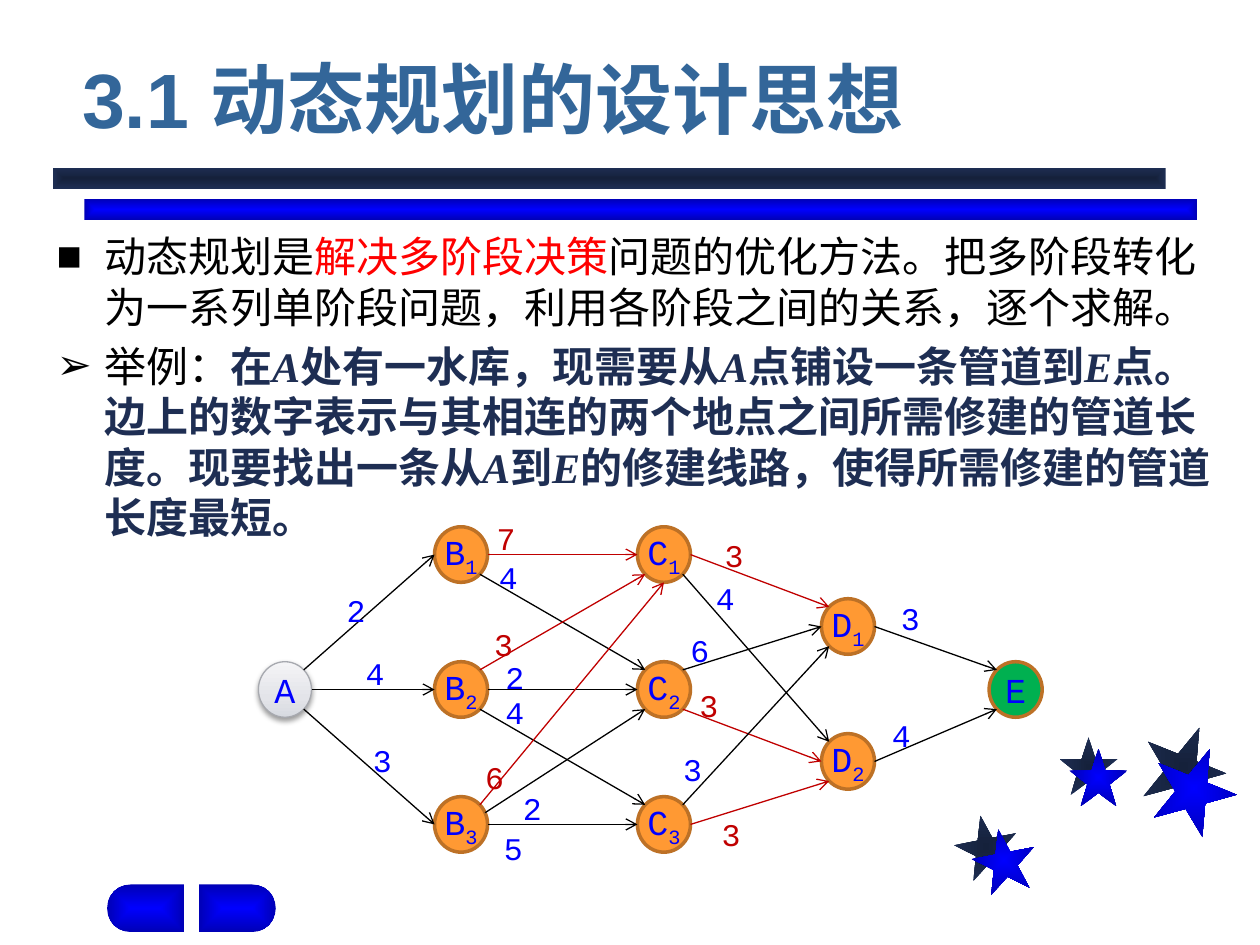
import math

import pptx
import pptx.dml.color
import pptx.enum.shapes
import pptx.enum.text
import pptx.oxml
import pptx.oxml.ns
import pptx.util
from lxml import etree

Cm, Pt = pptx.util.Cm, pptx.util.Pt
RGBColor = pptx.dml.color.RGBColor
qn = pptx.oxml.ns.qn
MSO_SHAPE = pptx.enum.shapes.MSO_SHAPE
ALIGN = pptx.enum.text.PP_ALIGN
ANCHOR = pptx.enum.text.MSO_ANCHOR

BLACK = RGBColor(0x00, 0x00, 0x00)
RED = RGBColor(0xFF, 0x00, 0x00)
CRIMSON = RGBColor(0xC0, 0x00, 0x00)
BLUE = RGBColor(0x00, 0x00, 0xFF)
DEEP_BLUE = RGBColor(0x00, 0x00, 0xB6)
NAVY = RGBColor(0x1E, 0x2E, 0x53)
DARK_NAVY = RGBColor(0x15, 0x21, 0x3B)
TITLE_BLUE = RGBColor(0x33, 0x66, 0x99)
ORANGE = RGBColor(0xFF, 0x99, 0x33)
BROWN = RGBColor(0xBD, 0x71, 0x26)
GREEN = RGBColor(0x00, 0xB0, 0x50)
GREY = RGBColor(0xA7, 0xA9, 0xAF)
SILVER = [(0, RGBColor(0xD7, 0xDA, 0xE0)), (35, RGBColor(0xE3, 0xE4, 0xE9)),
          (100, RGBColor(0xF4, 0xF4, 0xF6))]
NAVY_SHADE = [(0, DARK_NAVY), (100, NAVY)]
BLUE_SHADE = [(0, BLUE), (100, DEEP_BLUE)]
CJK = "Noto Sans CJK SC"


def write(para, text, size=18, font="Courier New", color=BLUE, bold=False, italic=False, base=None):
    span = para.add_run()
    span.text = text
    span.font.size = Pt(size)
    span.font.name = font
    span.font.bold = bold
    span.font.italic = italic
    span.font.color.rgb = color
    properties = span.font._element
    etree.SubElement(properties, qn("a:ea")).set("typeface", CJK)
    if base:
        properties.set("baseline", str(base * 1000))


def shade(shape, stops, path="shape"):
    """Gradient from the centre outwards, or upwards when path is None."""
    shape.shadow.inherit = False
    shape.line.fill.background()
    shape.fill.gradient()
    gradient = shape._element.spPr.find(qn("a:gradFill"))
    for child in list(gradient):
        gradient.remove(child)
    stop_list = etree.SubElement(gradient, qn("a:gsLst"))
    for position, color in stops:
        stop = etree.SubElement(stop_list, qn("a:gs"), pos=str(position * 1000))
        etree.SubElement(stop, qn("a:srgbClr"), val=str(color))
    if path:
        course = etree.SubElement(gradient, qn("a:path"), path=path)
        etree.SubElement(course, qn("a:fillToRect"), l="50000", t="50000", r="50000", b="50000")
    else:
        etree.SubElement(gradient, qn("a:lin"), ang=str(270 * 60000), scaled="0")


deck = pptx.Presentation()
deck.slide_width, deck.slide_height = Cm(25.4), Cm(19.05)
page = deck.slides.add_slide(deck.slide_layouts[5])

# Corner stars
stars = page.shapes.add_group_shape()
for left, top, size, turn, stops in [
        (19.25, 16.43, 1.27, 349, NAVY_SHADE), (21.36, 14.86, 1.17, 0, NAVY_SHADE),
        (23.01, 14.61, 1.7, 22, NAVY_SHADE), (19.61, 16.71, 1.27, 349, BLUE_SHADE),
        (21.56, 15.09, 1.17, 0, BLUE_SHADE), (23.22, 15.04, 1.7, 22, BLUE_SHADE)]:
    star = stars.shapes.add_shape(MSO_SHAPE.STAR_5_POINT, Cm(left), Cm(top), Cm(size), Cm(size))
    star.rotation = turn
    shade(star, stops)

# Double rule under the title
rules = page.shapes.add_group_shape()
for left, top, stops in [(1.7, 4.01, BLUE_SHADE), (1.07, 3.38, NAVY_SHADE)]:
    shade(rules.shapes.add_shape(MSO_SHAPE.RECTANGLE, Cm(left), Cm(top), Cm(22.43), Cm(0.43)), stops)

# Two buttons, each rounded on its outer side
RADIUS, BUTTON_MIDDLE = 0.48, 18.31
for inner, outward in [(3.71, -1), (4.01, 1)]:
    arc_centre = inner + outward * 1.07
    outline = [(inner, BUTTON_MIDDLE - RADIUS)]
    for degrees in range(-90, 91, 15):
        angle = math.radians(degrees)
        outline.append((arc_centre + outward * RADIUS * math.cos(angle),
                        BUTTON_MIDDLE + RADIUS * math.sin(angle)))
    outline.append((inner, BUTTON_MIDDLE + RADIUS))
    points = [(Cm(x), Cm(y)) for x, y in outline]
    builder = page.shapes.build_freeform(*points[0])
    builder.add_line_segments(points[1:], close=True)
    shade(builder.convert_to_shape(), BLUE_SHADE, path="rect")

# Title
title = page.shapes.title
title.left, title.top, title.width, title.height = Cm(1.4), Cm(0.69), Cm(21.59), Cm(2.34)
title.text_frame.auto_size = pptx.enum.text.MSO_AUTO_SIZE.NONE
title.text_frame.vertical_anchor = ANCHOR.BOTTOM
title.text_frame.paragraphs[0].alignment = ALIGN.LEFT
write(title.text_frame.paragraphs[0], "3.1 动态规划的设计思想", size=44, font="Arial",
      color=TITLE_BLUE, bold=True)

# Explanation
strong = {"color": NAVY, "bold": True}
place = {"color": NAVY, "bold": True, "italic": True, "font": "Times New Roman"}
plain = {"color": BLACK}
bullets = [
    ("■", [("动态规划是", plain), ("解决多阶段决策", {"color": RED}),
           ("问题的优化方法。把多阶段转化为一系列单阶段问题，利用各阶段之间的关系，逐个求解。", plain)]),
    ("➢", [("举例：", plain), ("在", strong), ("A", place), ("处有一水库，现需要从", strong),
           ("A", place), ("点铺设一条管道到", strong), ("E", place),
           ("点。边上的数字表示与其相连的两个地点之间所需修建的管道长度。现要找出一条从", strong),
           ("A", place), ("到", strong), ("E", place),
           ("的修建线路，使得所需修建的管道长度最短。", strong)]),
]
body = page.shapes.add_textbox(Cm(0.89), Cm(4.52), Cm(23.85), Cm(3.35)).text_frame
body.word_wrap = True
for index, (mark, spans) in enumerate(bullets):
    para = body.add_paragraph() if index else body.paragraphs[0]
    properties = para._p.get_or_add_pPr()
    properties.set("marL", str(Cm(0.96)))
    properties.set("indent", str(-Cm(0.96)))
    etree.SubElement(properties, qn("a:buFont"), typeface="Arial")
    etree.SubElement(properties, qn("a:buChar"), char=mark)
    para.line_spacing = Pt(28.9)
    if index:
        para.space_before = Pt(4.8)
    for text, style in spans:
        write(para, text, **{"size": 24, "font": CJK, **style})

# Network nodes: left and top by name
NODE_WIDTH, NODE_HEIGHT, ROW_STEP = 1.07, 1.12, 2.72
nodes = {"A": (5.21, 13.34)}
for letter, left, top, count in [("B", 8.76, 10.62, 3), ("C", 12.85, 10.62, 3), ("D", 16.56, 12.07, 2)]:
    for row in range(count):
        nodes[f"{letter}{row + 1}"] = (left, top + row * ROW_STEP)
nodes["E"] = (19.94, 13.34)

network = page.shapes.add_group_shape().shapes
for name, (left, top) in nodes.items():
    node = network.add_shape(MSO_SHAPE.OVAL, Cm(left), Cm(top), Cm(NODE_WIDTH), Cm(NODE_HEIGHT))
    if name == "A":
        shade(node, SILVER, path=None)
        node.line.color.rgb, node.line.width = GREY, Pt(0.75)
        shadow = etree.SubElement(node._element.spPr.find(qn("a:effectLst")), qn("a:outerShdw"),
                                  blurRad=str(Pt(3.1)), dist=str(Pt(1.6)), dir=str(90 * 60000))
        shadow_color = etree.SubElement(shadow, qn("a:srgbClr"), val=str(BLACK))
        etree.SubElement(shadow_color, qn("a:alpha"), val="38000")
    else:
        node.shadow.inherit = False
        node.fill.solid()
        node.fill.fore_color.rgb = GREEN if name == "E" else ORANGE
        node.line.color.rgb, node.line.width = BROWN, Pt(2)
    frame = node.text_frame
    frame.margin_left = frame.margin_right = 0
    frame.word_wrap = False
    frame.vertical_anchor = ANCHOR.MIDDLE
    frame.paragraphs[0].alignment = ALIGN.CENTER
    write(frame.paragraphs[0], name[0], size=20)
    if name[1:]:
        write(frame.paragraphs[0], name[1:], size=20, base=-25)

# Pipes: each end is a node and an angle on its rim, clockwise from the right
for start, start_angle, end, end_angle, color in [
        ("A", -45, "B1", 180, BLACK), ("A", 0, "B2", 180, BLACK), ("A", 45, "B3", 180, BLACK),
        ("B1", 0, "C1", 180, CRIMSON), ("B1", 45, "C2", 225, BLACK),
        ("B2", 0, "C2", 180, BLACK), ("B2", -45, "C1", 135, CRIMSON), ("B2", 45, "C3", 225, BLACK),
        ("B3", -25, "C2", 135, BLACK), ("B3", 0, "C3", 180, BLACK), ("B3", -45, "C1", 90, CRIMSON),
        ("C1", 0, "D1", 225, CRIMSON), ("C1", 45, "D2", 225, BLACK),
        ("C2", -45, "D1", 180, BLACK), ("C2", 45, "D2", 180, CRIMSON),
        ("C3", 0, "D2", 135, CRIMSON), ("C3", -45, "D1", 135, BLACK),
        ("D1", 0, "E", 225, BLACK), ("D2", 0, "E", 135, BLACK)]:
    ends = []
    for name, degrees in [(start, start_angle), (end, end_angle)]:
        left, top = nodes[name]
        angle = math.radians(degrees)
        ends += [Cm(left + NODE_WIDTH / 2 * (1 + math.cos(angle))),
                 Cm(top + NODE_HEIGHT / 2 * (1 + math.sin(angle)))]
    pipe = network.add_connector(pptx.enum.shapes.MSO_CONNECTOR.STRAIGHT, *ends)
    pipe.line.color.rgb, pipe.line.width = color, Pt(0.75)
    etree.SubElement(pipe.line._get_or_add_ln(), qn("a:tailEnd"), type="arrow")
    etree.SubElement(pipe._element.spPr, qn("a:effectLst"))

# Pipe lengths
for length, left, top, color in [
        ("2", 6.99, 11.91, BLUE), ("4", 7.37, 13.18, BLUE), ("3", 7.52, 14.94, BLUE),
        ("7", 10.01, 10.46, CRIMSON), ("4", 10.06, 11.25, BLUE), ("3", 9.96, 12.6, CRIMSON),
        ("2", 10.19, 13.26, BLUE), ("4", 10.19, 13.97, BLUE), ("6", 9.78, 15.29, CRIMSON),
        ("2", 10.54, 15.9, BLUE), ("5", 10.16, 16.71, BLUE), ("3", 14.61, 10.8, CRIMSON),
        ("4", 14.43, 11.68, BLUE), ("6", 13.92, 12.73, BLUE), ("3", 14.1, 13.82, CRIMSON),
        ("3", 13.77, 15.11, BLUE), ("3", 14.55, 16.43, CRIMSON), ("3", 18.16, 12.07, BLUE),
        ("4", 17.98, 14.43, BLUE)]:
    frame = network.add_textbox(Cm(left), Cm(top), Cm(0.53), Cm(0.76)).text_frame
    frame.margin_left = frame.margin_right = frame.margin_top = frame.margin_bottom = 0
    frame.word_wrap = True
    write(frame.paragraphs[0], length, color=color)

deck.save("out.pptx")
